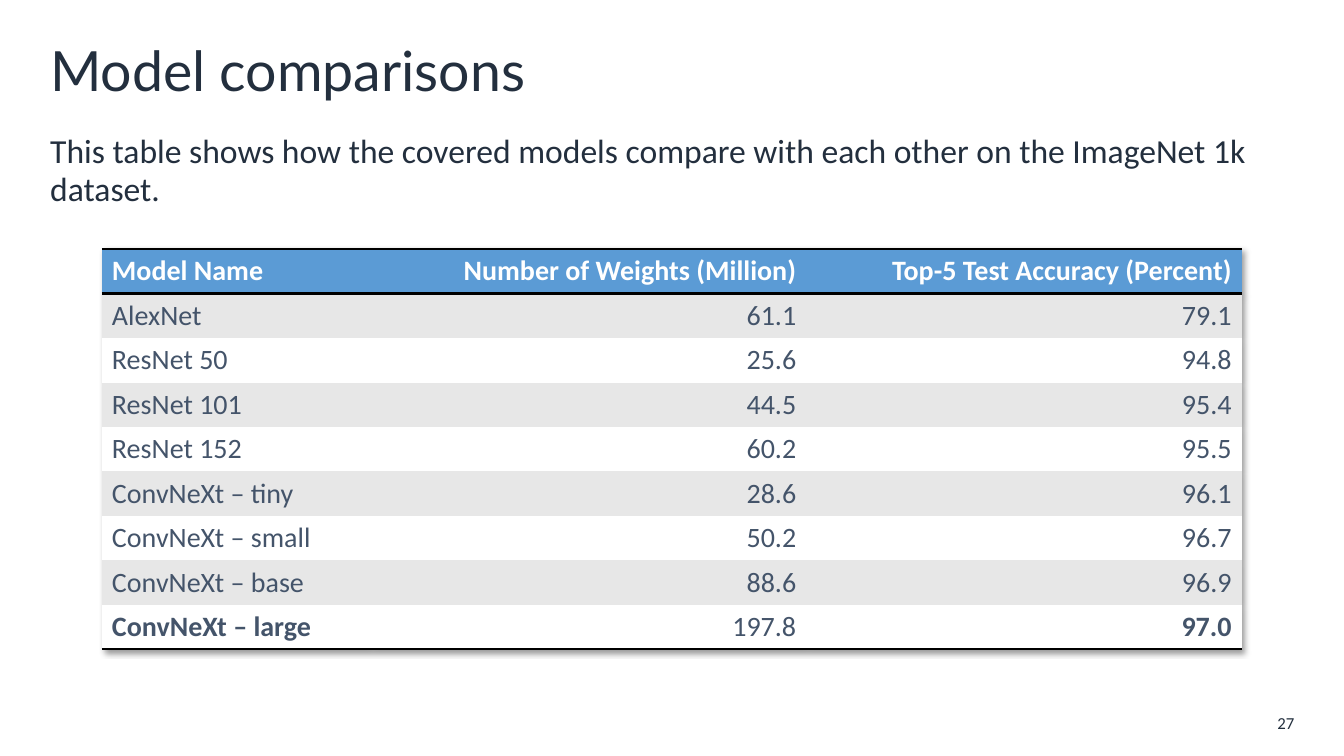
from lxml import etree
from pptx import Presentation
from pptx.dml.color import RGBColor
from pptx.enum import text as t
from pptx.oxml import parse_xml
from pptx.oxml.ns import nsdecls, qn
from pptx.util import Pt

INK = RGBColor(0x23, 0x2F, 0x3E)
SLATE = RGBColor(0x44, 0x54, 0x6A)
BLUE = RGBColor(0x5B, 0x9B, 0xD5)
GRAY = RGBColor(0xE7, 0xE7, 0xE7)
WHITE = RGBColor(0xFF, 0xFF, 0xFF)
BLACK = RGBColor(0, 0, 0)

PLAIN = "{2D5ABB26-0587-4C30-8999-92F81FD0307C}"
LEFT, RIGHT = t.PP_ALIGN.LEFT, t.PP_ALIGN.RIGHT
TOP, MID = t.MSO_ANCHOR.TOP, t.MSO_ANCHOR.MIDDLE

HEAD = ("Model Name", "Number of Weights (Million)",
        "Top-5 Test Accuracy (Percent)")
MODELS = [
    ("AlexNet", "61.1", "79.1"),
    ("ResNet 50", "25.6", "94.8"),
    ("ResNet 101", "44.5", "95.4"),
    ("ResNet 152", "60.2", "95.5"),
    ("ConvNeXt – tiny", "28.6", "96.1"),
    ("ConvNeXt – small", "50.2", "96.7"),
    ("ConvNeXt – base", "88.6", "96.9"),
    ("ConvNeXt – large", "197.8", "97.0"),
]
WIDTHS = (192.2, 311, 311)
ROW = 31.75


def write(frame, words, size=20, font="Calibri", color=INK, bold=False,
          align=LEFT, before=0, after=0, line=None):
    para = frame.paragraphs[0]
    para.alignment = align
    para.space_before, para.space_after = Pt(before), Pt(after)
    if line:
        para.line_spacing = line
    run = para.add_run()
    run.text = words
    run.font.size, run.font.name = Pt(size), font
    run.font.bold = bold
    run.font.color.rgb = color


def add_text(slide, box, words, anchor=TOP, **style):
    frame = slide.shapes.add_textbox(*map(Pt, box)).text_frame
    frame.word_wrap = True
    frame.vertical_anchor = anchor
    write(frame, words, **style)


def rule(cell, *sides):
    """Draw a black line on the given sides (T, B) of a cell."""
    props = cell._tc.get_or_add_tcPr()
    for i, side in enumerate(sides):
        props.insert(i, parse_xml(
            f'<a:ln{side} {nsdecls("a")} w="{Pt(2)}"><a:solidFill>'
            f'<a:srgbClr val="{BLACK}"/></a:solidFill></a:ln{side}>'))


def shade(table):
    """Drop the banded style and give the table a soft shadow."""
    props = table._tbl.tblPr
    props.find(qn("a:tableStyleId")).text = PLAIN
    glow = etree.Element(qn("a:effectLst"))
    drop = etree.SubElement(glow, qn("a:outerShdw"), blurRad=str(Pt(4)),
                            dist=str(Pt(3)), dir="2700000", algn="tl",
                            rotWithShape="0")
    tint = etree.SubElement(drop, qn("a:srgbClr"), val=str(BLACK))
    etree.SubElement(tint, qn("a:alpha"), val="40000")
    props.insert(0, glow)


def add_grid(slide, left, top):
    rows = [HEAD] + MODELS
    last = len(rows) - 1
    table = slide.shapes.add_table(
        len(rows), len(HEAD), Pt(left), Pt(top),
        Pt(sum(WIDTHS)), Pt(ROW * len(rows))).table
    shade(table)
    for col, width in zip(table.columns, WIDTHS):
        col.width = Pt(width)
    for r, row in enumerate(rows):
        table.rows[r].height = Pt(ROW)
        for c, words in enumerate(row):
            cell = table.cell(r, c)
            cell.fill.solid()
            cell.fill.fore_color.rgb = (
                BLUE if r == 0 else GRAY if r % 2 else WHITE)
            write(cell.text_frame, words,
                  color=WHITE if r == 0 else SLATE,
                  bold=r == 0 or (r == last and c != 1),
                  align=RIGHT if c else LEFT)
            if r == 0:
                rule(cell, "T", "B")
            elif r == last:
                rule(cell, "B")


def main():
    deck = Presentation()
    deck.slide_width, deck.slide_height = Pt(960), Pt(540)
    slide = deck.slides.add_slide(deck.slide_layouts[6])
    add_text(slide, (893.5, 507.6, 38.2, 18), "27", MID,
             size=12, align=RIGHT)
    add_text(slide, (28.8, 23.8, 902.9, 57.6), "Model comparisons", MID,
             size=39.6, font="Lato", line=0.9)
    add_text(slide, (28.8, 91.4, 902.9, 414.7),
             "This table shows how the covered models compare with each "
             "other on the ImageNet 1k dataset.",
             size=24, before=10, after=6, line=0.95)
    add_grid(slide, 72.8, 178)
    deck.save("out.pptx")


if __name__ == "__main__":
    main()
